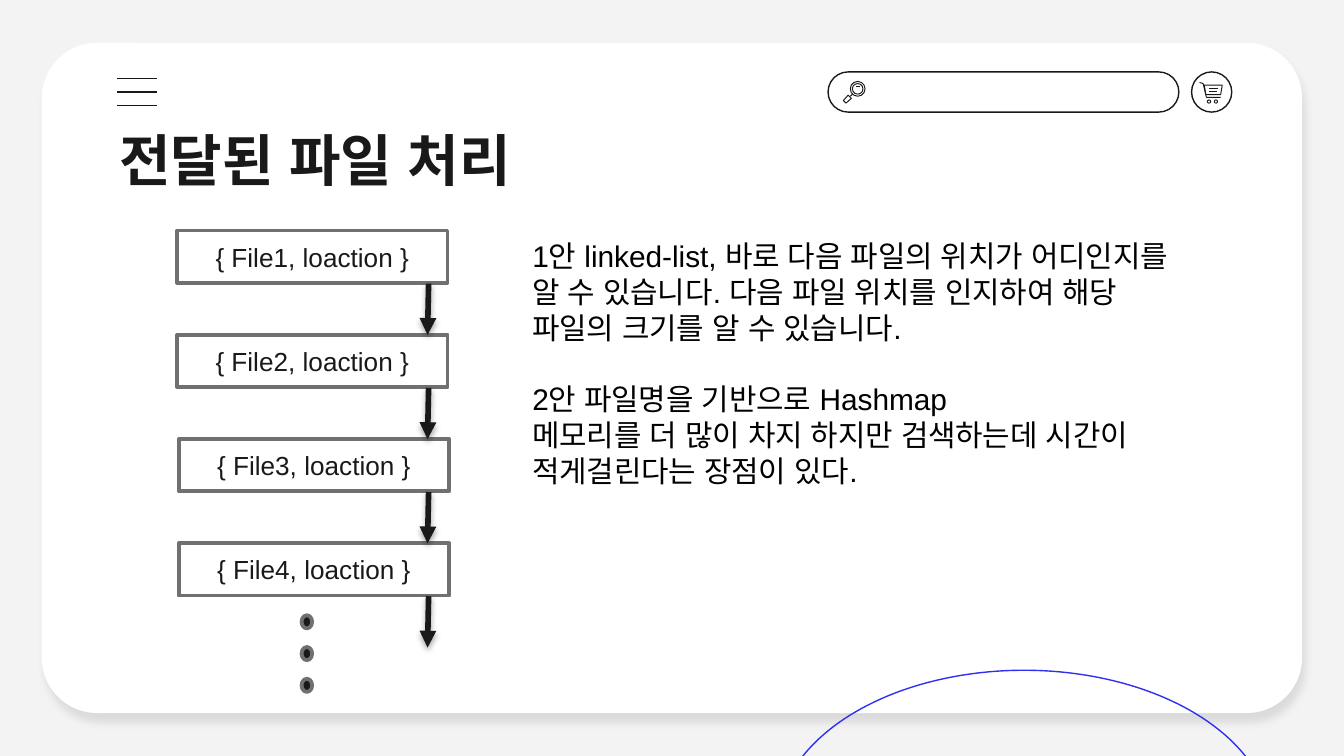
from lxml import etree
from pptx import Presentation
from pptx import util as u
from pptx.dml.color import RGBColor
from pptx.enum import shapes, text
from pptx.oxml.ns import qn

GREY = RGBColor(0xF3, 0xF3, 0xF3)
WHITE = RGBColor(0xFF, 0xFF, 0xFF)
INK = RGBColor(0x19, 0x19, 0x19)
BORDER = RGBColor(0x70, 0x70, 0x70)
BLUE = RGBColor(0x2F, 0x2F, 0xF4)
BLACK = RGBColor(0, 0, 0)
SANS = "Arial"
KOREAN = "Noto Sans CJK KR"
KIND = shapes.MSO_SHAPE

TITLE = "전달된 파일 처리"
NOTES = [
    "1안 linked-list, 바로 다음 파일의 위치가 어디인지를 알 수 있습니다. "
    "다음 파일 위치를 인지하여 해당 파일의 크기를 알 수 있습니다.",
    "2안 파일명을 기반으로 Hashmap",
    "메모리를 더 많이 차지 하지만 검색하는데 시간이 적게걸린다는 장점이 있다.",
]


def paint(shape, fill, line, weight):
    shape.shadow.inherit = False
    if fill is None:
        shape.fill.background()
    else:
        shape.fill.solid()
        shape.fill.fore_color.rgb = fill
    if line is None:
        shape.line.fill.background()
    else:
        shape.line.color.rgb = line
        shape.line.width = u.Pt(weight)


def add_shape(page, kind, area, fill=None, line=None, weight=0.75):
    shape = page.shapes.add_shape(kind, *map(u.Cm, area))
    paint(shape, fill, line, weight)
    return shape


def add_line(page, start, end, weight=0.75):
    line = page.shapes.add_connector(
        shapes.MSO_CONNECTOR.STRAIGHT, *map(u.Cm, start + end))
    line.line.color.rgb = INK
    line.line.width = u.Pt(weight)
    etree.SubElement(line._element.spPr, qn("a:effectLst"))
    return line


def add_outline(page, points, closed):
    first, *rest = [tuple(map(u.Cm, point)) for point in points]
    builder = page.shapes.build_freeform(*first)
    builder.add_line_segments(rest, close=closed)
    paint(builder.convert_to_shape(), None, INK, 0.5)


def add_shadow(shape, alpha, blur, distance, angle):
    effects = shape._element.spPr.find(qn("a:effectLst"))
    shadow = etree.SubElement(
        effects, qn("a:outerShdw"), blurRad=str(u.Pt(blur)),
        dist=str(u.Pt(distance)), dir=str(angle * 60000),
        algn="ctr", rotWithShape="0")
    color = etree.SubElement(shadow, qn("a:srgbClr"), val=str(BLACK))
    etree.SubElement(color, qn("a:alpha"), val=str(alpha * 1000))


def add_arrow(page, start, end):
    arrow = add_line(page, start, end, 3)
    etree.SubElement(arrow.line._get_or_add_ln(), qn("a:tailEnd"), type="triangle")
    add_shadow(arrow, 35, 3.1, 1.8, 90)


def style_span(span, size, color, font=SANS, bold=False):
    span.font.size = u.Pt(size)
    span.font.color.rgb = color
    span.font.name = font
    span.font.bold = bold
    etree.SubElement(span._r.get_or_add_rPr(), qn("a:ea"), typeface=SANS)


def add_text(page, area, lines, size, color, font=SANS, bold=False):
    box = page.shapes.add_textbox(*map(u.Cm, area))
    frame = box.text_frame
    frame.word_wrap = True
    frame.text = "\n".join(lines)
    for para in frame.paragraphs:
        style_span(para.runs[0], size, color, font, bold)
    return frame


def add_search_bar(page):
    bar = add_shape(page, KIND.ROUNDED_RECTANGLE, (15.65, 1.36, 6.63, 0.76), line=INK)
    bar.adjustments[0] = 0.5
    add_shape(page, KIND.OVAL, (16.07, 1.54, 0.28, 0.28), line=INK, weight=0.5)
    add_shape(page, KIND.OVAL, (16.11, 1.58, 0.2, 0.2), line=INK, weight=0.5)
    add_line(page, (16.17, 1.64), (16.25, 1.64), 0.5)
    add_line(page, (16.07, 1.82), (16.11, 1.78), 0.5)
    add_outline(page, [(16.03, 1.8), (16.09, 1.86), (15.99, 1.95), (15.94, 1.9)], True)


def add_cart(page):
    add_shape(page, KIND.OVAL, (22.52, 1.36, 0.76, 0.76), line=INK)
    add_outline(page, [(22.67, 1.56), (22.74, 1.58), (22.8, 1.84), (23.07, 1.84)], False)
    add_outline(page, [(22.76, 1.61), (23.1, 1.61), (23.07, 1.79), (22.79, 1.79)], True)
    for left, right, top in ((22.84, 23.01, 1.67), (22.85, 23, 1.73)):
        add_line(page, (left, top), (right, top), 0.5)
    for left in (22.82, 22.95):
        add_shape(page, KIND.OVAL, (left, 1.89, 0.06, 0.06), line=INK, weight=0.5)


def add_window(page):
    panel = add_shape(page, KIND.ROUNDED_RECTANGLE, (0.79, 0.81, 23.82, 12.67), WHITE)
    panel.adjustments[0] = 0.083
    add_shadow(panel, 10, 4.5, 6, 68)
    add_shape(page, KIND.OVAL, (14.68, 12.67, 9.35, 5.87), line=BLUE)
    for top in (1.48, 1.74, 2):
        add_line(page, (2.21, top), (2.97, top))
    add_search_bar(page)
    add_cart(page)


def add_file_box(page, number, left, top):
    box = add_shape(page, KIND.RECTANGLE, (left, top, 5.11, 0.99), WHITE, BORDER, 2)
    frame = box.text_frame
    frame.text = f"{{ File{number}, loaction }}"
    frame.vertical_anchor = text.MSO_ANCHOR.MIDDLE
    para = frame.paragraphs[0]
    para.alignment = text.PP_ALIGN.CENTER
    style_span(para.runs[0], 14, INK)


def add_file_chain(page):
    pitch = 1.97
    tops = [4.36 + pitch * index for index in range(4)]
    for index, top in enumerate(tops):
        add_file_box(page, index + 1, 3.35 + 0.03 * (index // 2), top)
    for index in range(3):
        add_shape(page, KIND.OVAL, (5.7, 11.63 + 0.6 * index, 0.2, 0.25), INK, BORDER, 2)
    for top in tops:
        add_arrow(page, (8.1, top + 1), (8.08, top + pitch))


def main():
    deck = Presentation()
    deck.slide_width, deck.slide_height = u.Cm(25.4), u.Cm(14.29)
    page = deck.slides.add_slide(deck.slide_layouts[6])
    page.background.fill.solid()
    page.background.fill.fore_color.rgb = GREY
    add_window(page)
    title = add_text(page, (2.01, 2.12, 21.41, 1.6), [TITLE], 30, INK, KOREAN, True)
    title.margin_top = title.margin_bottom = u.Cm(0.25)
    add_file_chain(page)
    notes = add_text(page, (9.81, 4.37, 12.83, 5.05), NOTES, 16, BLACK)
    notes.paragraphs[1].space_before = u.Pt(19)
    deck.save("out.pptx")


if __name__ == "__main__":
    main()
